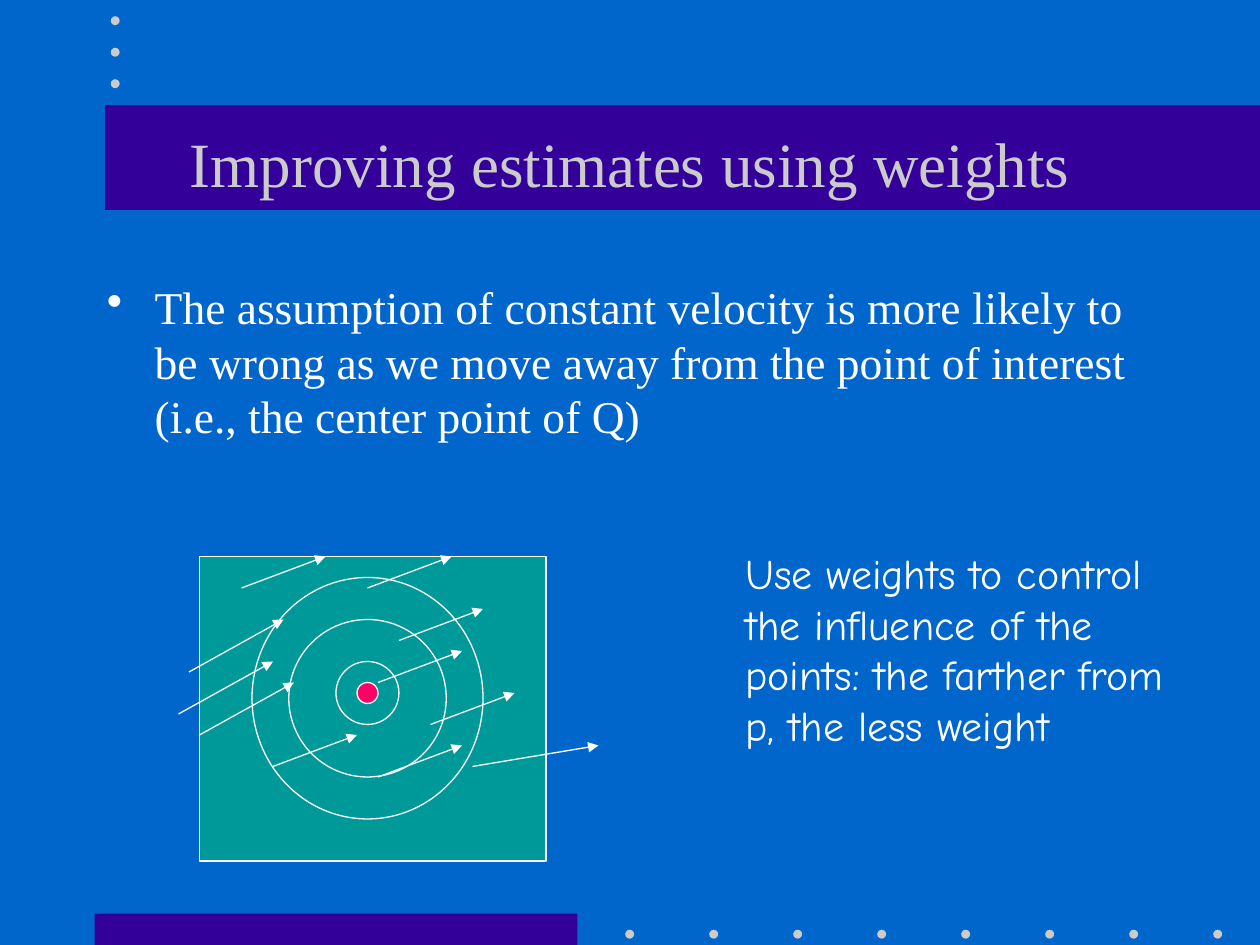
from lxml import etree
from pptx import Presentation
from pptx import util as u
from pptx.dml.color import RGBColor
from pptx.enum import shapes, text
from pptx.oxml import ns

BLUE = RGBColor(0x00, 0x66, 0xCC)
PURPLE = RGBColor(0x33, 0x00, 0x99)
GREY = RGBColor(0xCB, 0xCB, 0xCB)
WHITE = RGBColor(0xFF, 0xFF, 0xFF)
TEAL = RGBColor(0x00, 0x99, 0x99)
PINK = RGBColor(0xFF, 0x00, 0x66)
RECT = shapes.MSO_SHAPE.RECTANGLE
OVAL = shapes.MSO_SHAPE.OVAL

deck = Presentation()
deck.slide_width, deck.slide_height = u.Inches(10), u.Inches(7.5)
slide = deck.slides.add_slide(deck.slide_layouts[6])
slide.background.fill.solid()
slide.background.fill.fore_color.rgb = BLUE
CELL = deck.slide_width / 120  # the grid has 120 columns and 90 rows


def grid(*cells):
    return [round(n * CELL) for n in cells]


def draw(kind, box, fill=None, line=None):
    """Add a preset shape; box is column, row, columns wide, rows high."""
    shape = slide.shapes.add_shape(kind, *grid(*box))
    shape.shadow.inherit = False
    for part, color in ((shape.fill, fill), (shape.line.fill, line)):
        if color is None:
            part.background()
        else:
            part.solid()
            part.fore_color.rgb = color
    if line is not None:
        shape.line.width = u.Pt(0.75)


# Bands and rows of dots
draw(RECT, (9, 87, 46, 3), PURPLE)
for i in range(8):
    draw(OVAL, (59.55 + 8 * i, 88.55, 0.85, 0.85), GREY)
draw(RECT, (10, 10, 110, 10), PURPLE)
for i in range(3):
    draw(OVAL, (10.55, 1.55 + 3 * i, 0.85, 0.85), GREY)

# Patch Q with its center point
draw(RECT, (19, 53, 33, 29), TEAL, WHITE)
draw(OVAL, (34, 65, 2, 2), PINK, WHITE)

# Velocity arrows, grouped by direction
flows = {
    (8, -3): [(36, 65), (38, 61), (23, 56), (41, 69), (36, 74), (26, 73), (35, 56)],
    (12, -2): [(45, 73)],
    (9, -5): [(17, 68), (19, 70), (18, 64)],
}
for (dx, dy), starts in flows.items():
    for x, y in starts:
        arrow = slide.shapes.add_connector(
            shapes.MSO_CONNECTOR.STRAIGHT, *grid(x, y, x + dx, y + dy))
        arrow.line.color.rgb = WHITE
        arrow.line.width = u.Pt(0.75)
        etree.SubElement(arrow.line._get_or_add_ln(), ns.qn("a:tailEnd"), type="triangle")
        etree.SubElement(arrow._element.spPr, ns.qn("a:effectLst"))

# Rings of falling weight
for ring in ((32, 63, 6, 6), (27.5, 59, 15, 15), (24, 55, 22, 23)):
    draw(OVAL, ring, line=WHITE)

# Title, bullet and note
SERIF, HAND = "Times New Roman", "Comic Neue"
MID, TOP = text.MSO_ANCHOR.MIDDLE, text.MSO_ANCHOR.TOP
LEFT, MIDST = text.PP_ALIGN.LEFT, text.PP_ALIGN.CENTER
words = [
    ("Improving estimates using weights", (9, 8, 102, 15), MID, MIDST,
     dict(name=SERIF, size=u.Pt(36)), GREY),
    ("The assumption of constant velocity is more likely to be wrong as we move away "
     "from the point of interest (i.e., the center point of Q)", (9, 26, 102, 54), TOP, LEFT,
     dict(name=SERIF, size=u.Pt(26)), WHITE),
    ("Use weights to control the influence of the points: the farther from p, "
     "the less weight", (69.8, 51.6, 46.2, 20.4), TOP, LEFT,
     dict(name=HAND, size=u.Pt(24)), WHITE),
]
paras = []
for line, box, anchor, align, style, color in words:
    frame = slide.shapes.add_textbox(*grid(*box)).text_frame
    frame.word_wrap = True
    frame.vertical_anchor = anchor
    para = frame.paragraphs[0]
    para.alignment = align
    run = para.add_run()
    run.text = line
    for key, value in style.items():
        setattr(run.font, key, value)
    run.font.color.rgb = color
    paras.append(para)

bullet = paras[1]
bullet.space_before = u.Pt(6.5)
props = bullet._p.get_or_add_pPr()
props.set("marL", str(u.Inches(0.38)))
props.set("indent", str(-u.Inches(0.38)))
etree.SubElement(props, ns.qn("a:buChar"), char="•")

deck.save("out.pptx")
